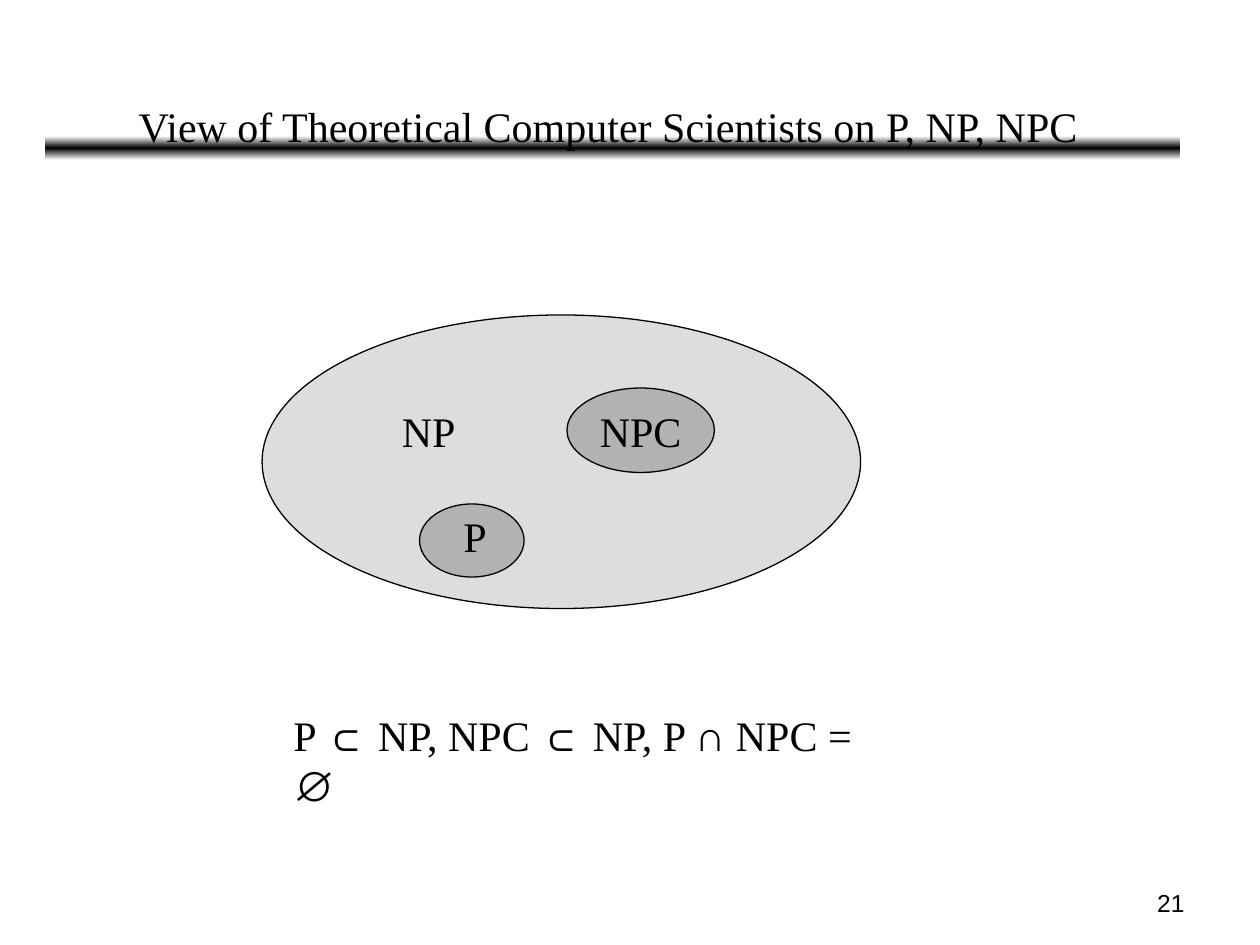
from copy import deepcopy

from pptx import Presentation
from pptx.dml.color import RGBColor
from pptx.enum.shapes import MSO_SHAPE
from pptx.enum.text import MSO_ANCHOR, MSO_AUTO_SIZE, PP_ALIGN
from pptx.util import Inches, Pt

BLACK = RGBColor(0x00, 0x00, 0x00)
WHITE = RGBColor(0xFF, 0xFF, 0xFF)
LIGHT_GRAY = RGBColor(0xDD, 0xDD, 0xDD)
MID_GRAY = RGBColor(0xB2, 0xB2, 0xB2)
SERIF, SANS = "Times New Roman", "Arial"
ELLIPSE, ROUND_RECT = MSO_SHAPE.OVAL, MSO_SHAPE.ROUNDED_RECTANGLE
LEFT, CENTER, RIGHT = PP_ALIGN.LEFT, PP_ALIGN.CENTER, PP_ALIGN.RIGHT
TOP, MIDDLE = MSO_ANCHOR.TOP, MSO_ANCHOR.MIDDLE
NO_AUTOFIT = MSO_AUTO_SIZE.NONE
SYMBOLS = "⊂∩∅"


def format_text(sp, text, size=24, font=SERIF, align=LEFT, anchor=TOP, wrap=False):
    tf = sp.text_frame
    tf.auto_size = NO_AUTOFIT
    tf.word_wrap = wrap
    tf.vertical_anchor = anchor
    p = tf.paragraphs[0]
    p.text = text
    p.alignment = align
    p.font.size = Pt(size)
    p.font.name = font
    p.font.color.rgb = BLACK
    return p


def add_text(s, box, text, **style):
    sp = s.shapes.add_textbox(*map(Inches, box))
    return format_text(sp, text, **style)


def add_title(s, box, text):
    sp = s.shapes.title
    sp.left, sp.top, sp.width, sp.height = map(Inches, box)
    format_text(sp, text)


def add_ellipse(s, box, color):
    sp = s.shapes.add_shape(ELLIPSE, *map(Inches, box))
    sp.shadow.inherit = False
    sp.fill.solid()
    sp.fill.fore_color.rgb = color
    sp.line.color.rgb = BLACK
    sp.line.width = Pt(0.75)
    return sp


def add_title_bar(s, box):
    sp = s.shapes.add_shape(ROUND_RECT, *map(Inches, box))
    sp.shadow.inherit = False
    sp.line.fill.background()
    sp.fill.gradient()
    sp.fill.gradient_angle = 90
    first = sp.element.xpath(".//a:gs")[0]
    first.addnext(deepcopy(first))
    stops = zip(sp.fill.gradient_stops, (0, 0.5, 1), (WHITE, BLACK, WHITE))
    for stop, position, color in stops:
        stop.position = position
        stop.color.rgb = color
    s.shapes.title.element.addprevious(sp.element)


def add_formula(s, box, parts):
    p = add_text(s, box, "", wrap=True)
    for part in parts:
        r = p.add_run()
        r.text = part
        r.font.name = SANS if part in SYMBOLS else SERIF


def main():
    prs = Presentation()
    prs.slide_width, prs.slide_height = Inches(10), Inches(7.5)
    s = prs.slides.add_slide(prs.slide_layouts[5])

    add_title(s, (1, 0.75, 7.75, 0.5),
              "View of Theoretical Computer Scientists on P, NP, NPC")
    add_title_bar(s, (0.36, 1.08, 9.01, 0.19))
    add_text(s, (7.17, 7, 2.33, 0.35), "21", size=14, font=SANS, align=RIGHT)

    add_ellipse(s, (2.08, 2.5, 4.75, 2.33), LIGHT_GRAY)
    npc = add_ellipse(s, (4.5, 3.08, 1.17, 0.67), MID_GRAY)
    format_text(npc, "NPC", align=CENTER, anchor=MIDDLE)
    add_ellipse(s, (3.33, 4, 0.83, 0.58), MID_GRAY)
    add_text(s, (3.58, 4, 0.39, 0.5), "P")
    add_text(s, (3.09, 3.17, 0.62, 0.5), "NP")

    add_formula(s, (2.23, 5.58, 4.9, 0.5),
                ("P ", "⊂", " NP, NPC ", "⊂", " NP, P ", "∩", " NPC = ", "∅"))
    prs.save("out.pptx")


if __name__ == "__main__":
    main()
